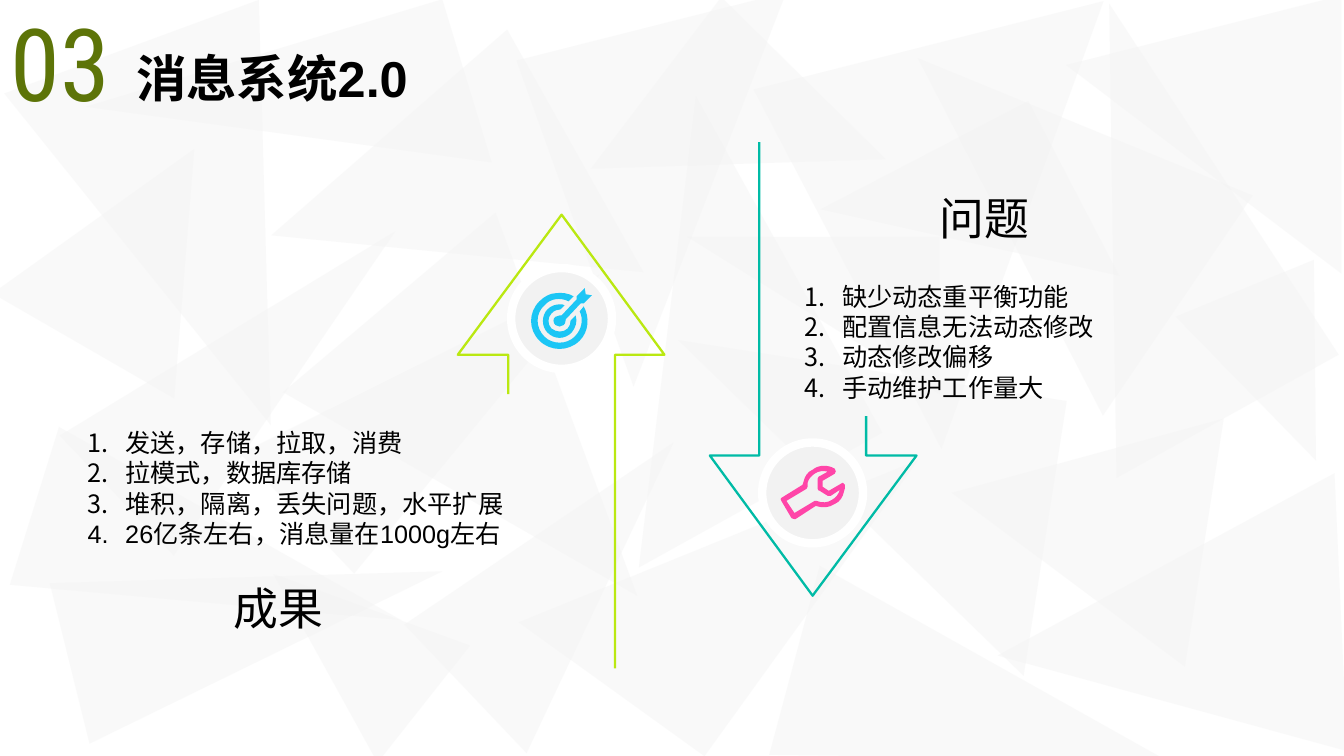
from dataclasses import dataclass
from lxml import etree
from pptx import Presentation
from pptx import util as u
from pptx.dml.color import RGBColor
from pptx.enum import shapes, text
from pptx.oxml.ns import qn


@dataclass(frozen=True)
class Theme:
    font: str = "Arial"
    digit: str = "Roboto Condensed"
    ink: str = "000000"
    olive: str = "5D7408"
    pale: str = "F2F2F2"
    white: str = "FFFFFF"
    teal: str = "00BBA6"
    lime: str = "BAE811"
    pink: str = "FF45A8"
    blue: str = "1CC6F5"
    huge: int = 72
    title: int = 36
    head: int = 32
    body: int = 18


def cm(inch):
    return u.Cm(inch * 2.54)


def trace(code):
    """Read M, L and C commands in hundredths of an inch.

    Gives the rings of points, and where each curve's three points start."""
    rings, bends, count = [], [], 0
    for part in code.replace("M", "|M").replace("L", "|L").replace("C", "|C").split("|")[1:]:
        nums = [int(n) / 100 for n in part[1:].split()]
        pts = list(zip(nums[::2], nums[1::2]))
        if part[0] == "M":
            rings.append([])
        elif part[0] == "C":
            bends += range(count, count + len(pts), 3)
        rings[-1] += pts
        count += len(pts)
    return rings, bends


class Deck:
    def __init__(self, look):
        self.look = look
        self.prs = Presentation()
        self.prs.slide_width, self.prs.slide_height = cm(13.33), cm(7.5)
        self.slide = self.prs.slides.add_slide(self.prs.slide_layouts[6])

    def group(self):
        return self.slide.shapes.add_group_shape()

    def paint(self, shape, fill=None, line=None, width=1):
        shape.shadow.inherit = False
        if fill:
            shape.fill.solid()
            shape.fill.fore_color.rgb = RGBColor.from_string(fill)
        else:
            shape.fill.background()
        if line:
            shape.line.color.rgb = RGBColor.from_string(line)
            shape.line.width = u.Pt(width)
        else:
            shape.line.fill.background()
        return shape

    def shard(self, group, x, y, w, h, turn, tip=0.5):
        tri = group.shapes.add_shape(
            shapes.MSO_SHAPE.ISOSCELES_TRIANGLE, cm(x), cm(y), cm(w), cm(h))
        tri.adjustments[0] = tip
        tri.rotation = turn
        self.paint(tri, self.look.pale)
        tone = tri._element.spPr.find(".//" + qn("a:srgbClr"))
        etree.SubElement(tone, qn("a:alpha"), val="42000")

    def backdrop(self, shards):
        group = self.group()
        for shard in shards:
            self.shard(group, *shard)
        # The backdrop belongs to the layout
        self.slide.slide_layout.shapes._spTree.append(group._element)

    def disc(self, group, x, y, size):
        dot = group.shapes.add_shape(
            shapes.MSO_SHAPE.OVAL, cm(x), cm(y), cm(size), cm(size))
        self.paint(dot, self.look.pale, self.look.white, 6)

    def outline(self, group, rings, bends=(), close=True, **style):
        rings = [[(cm(x), cm(y)) for x, y in ring] for ring in rings]
        pen = group.shapes.build_freeform(*rings[0][0])
        for i, ring in enumerate(rings):
            if i:
                pen.move_to(*ring[0])
            pen.add_line_segments(ring[1:], close=close)
        shape = self.paint(pen.convert_to_shape(), **style)
        # Join each run of three points into a curve
        route = shape._element.spPr.find(".//" + qn("a:path"))
        steps = [step for step in route if step.tag != qn("a:close")]
        for i in bends:
            bend = steps[i]
            bend.tag = qn("a:cubicBezTo")
            for step in steps[i + 1:i + 3]:
                bend.append(step[0])
                route.remove(step)

    def arrow(self, group, x, y, color, up=False):
        w, h = 2.05, 4.5
        pts = [(0.49, 0), (0.49, 3.11), (0, 3.11), (1.02, h),
               (w, 3.11), (1.55, 3.11), (1.55, 2.72)]
        if up:
            pts = [(w - px, h - py) for px, py in pts]
        self.outline(group, [[(x + px, y + py) for px, py in pts]],
                     close=False, line=color, width=1.63)

    def label(self, x, y, w, h, lines, size, color=None, font=None, bold=False,
              pad=True, mid=False, space=None, count=False):
        frame = self.slide.shapes.add_textbox(cm(x), cm(y), cm(w), cm(h)).text_frame
        frame.word_wrap = count
        if not pad:
            frame.margin_left = frame.margin_right = 0
            frame.margin_top = frame.margin_bottom = 0
        if mid:
            frame.vertical_anchor = text.MSO_ANCHOR.MIDDLE
        for i, line in enumerate(lines):
            para = frame.add_paragraph() if i else frame.paragraphs[0]
            para.text = line
            if mid:
                para.alignment = text.PP_ALIGN.CENTER
            if space:
                para.line_spacing = space
            if count:
                props = para._p.get_or_add_pPr()
                props.set("marL", str(u.Cm(0.95)))
                props.set("indent", str(-u.Cm(0.95)))
                etree.SubElement(props, qn("a:buFont"), typeface="+mj-lt")
                etree.SubElement(props, qn("a:buAutoNum"), type="arabicPeriod")
            para.font.name = font or self.look.font
            para.font.size = u.Pt(size)
            para.font.bold = bold
            para.font.color.rgb = RGBColor.from_string(color or self.look.ink)


# Background shards: left, top, width, height, turn, tip
SHARDS = [
    (1.34, 3.68, 1.64, 3.81, 107.3), (1.72, 4.22, 1.64, 3.81, 76.1),
    (0.65, 0.34, 2.69, 4, 159.8), (1.72, 1.7, 1.64, 3.81, 46.5),
    (4.89, 4.15, 1.76, 3.18, 46.5, 0.3), (3.71, 2.55, 2.76, 3.81, 139.8),
    (9.44, 3.91, 2.49, 2.55, 278.9, 0.54), (7.06, 3.09, 2.76, 3.9, 278.9, 1),
    (5.99, 3.56, 2.27, 3.62, 35.8, 1), (9.91, 0.24, 2.52, 4.15, 331, 0.88),
    (5.24, 1.39, 2.76, 3.81, 331, 1), (6.08, 0.47, 2.29, 2.12, 224.6, 0.88),
    (7.9, 0.39, 3.58, 3.91, 165.8, 0.74), (5.5, 0.21, 2.76, 3.42, 165.8, 0.88),
    (3, 0.72, 2.76, 3.04, 240.7, 0.77), (10.21, 4.44, 2.76, 3.42, 267.4, 0.4),
    (7.29, 1.88, 1.56, 2.5, 270, 1), (-0.35, 1.7, 2.48, 1.88, 274.6, 0.36),
    (2.02, -0.51, 1.69, 3.69, 253.2, 1), (10.56, -0.03, 2.76, 2.73, 270, 0.75),
    (3.51, 1.88, 1.64, 3.81, 46.5, 0.71), (8.75, 5.14, 1.94, 3.81, 105),
    (11.96, 2.79, 1.48, 1.85, 157.6), (2.69, 5.39, 1.48, 1.97, 308.3, 0.56),
    (8.91, 0.29, 2.64, 3.51, 304.2, 0.72), (8.46, 1.43, 2.32, 1.95, 152.5, 0),
]
WRENCH = """M837 488 C836 493 833 498 828 500 822 504 816 504 809 502 L789 515
C788 515 786 515 785 514 L775 497 C774 496 774 494 775 494 L796 481
C796 480 796 479 797 478 798 473 801 468 806 466 812 461 821 461 828 465
828 466 829 467 829 468 829 468 828 469 828 470 L816 477 816 483 822 487 834 480
C835 479 836 479 836 479 837 480 838 481 838 481 838 484 838 486 837 488
M788 509 L808 497 C809 497 809 497 810 497 815 499 821 499 825 496
829 494 832 490 833 486 L824 492 C823 492 822 492 821 492 L813 487
C812 487 811 486 811 485 L811 475 C811 475 811 474 812 473 L821 468
C817 467 812 467 808 470 805 472 802 475 801 479 801 480 801 482 801 483
801 484 801 484 800 485 L780 497"""
TARGET = """M556 302 C557 302 559 302 560 303 L556 307
C553 307 550 308 547 311 543 315 543 322 547 326 552 330 559 330 563 326
565 324 566 321 566 318 L571 313 C573 319 571 325 567 330 560 337 550 337 543 330
537 324 537 313 543 307 547 303 551 302 556 302
M551 291 C557 290 564 291 569 294 L564 299 C556 295 546 296 540 303
531 311 531 325 540 334 548 342 562 342 570 334 577 327 579 317 575 309
L579 304 C585 315 584 329 575 338 564 349 546 349 535 338 524 327 524 310 535 299
540 294 546 291 551 291
M580 286 L581 292 587 293 579 301 576 301 561 317
C561 317 561 318 561 318 561 322 558 324 555 324 552 324 549 322 549 318
549 315 552 313 555 313 556 313 556 313 557 313 L572 297 572 294"""
ISSUES = ["缺少动态重平衡功能", "配置信息无法动态修改", "动态修改偏移", "手动维护工作量大"]
GAINS = ["发送，存储，拉取，消费", "拉模式，数据库存储",
         "堆积，隔离，丢失问题，水平扩展", "26亿条左右，消息量在1000g左右"]


def main():
    look = Theme()
    deck = Deck(look)
    deck.backdrop(SHARDS)

    # Title
    deck.label(0, 0.01, 1.2, 1.2, ["03"], look.huge, look.olive, look.digit,
               pad=False, mid=True)
    deck.label(1.35, 0.41, 4.37, 0.8, ["消息系统2.0"], look.title, bold=True,
               pad=False, space=1.1)

    # List of issues
    deck.label(7.88, 2.74, 3.78, 1.79, ISSUES, look.body, count=True)

    # Down arrow with wrench
    down = deck.group()
    deck.arrow(down, 7.04, 1.41, look.teal)
    deck.disc(down, 7.56, 4.39, 1)
    deck.outline(down, *trace(WRENCH), fill=look.pink)

    # Up arrow with target
    rise = deck.group()
    deck.arrow(rise, 4.54, 2.13, look.lime, up=True)
    deck.disc(rise, 5.07, 2.66, 1)
    deck.outline(rise, *trace(TARGET), fill=look.blue)

    # Headings and list of gains
    deck.label(2.22, 5.71, 1.1, 0.64, ["成果"], look.head)
    deck.label(9.22, 1.84, 1.1, 0.64, ["问题"], look.head)
    deck.label(0.77, 4.19, 5.1, 1.31, GAINS, look.body, count=True)
    deck.prs.save("out.pptx")


if __name__ == "__main__":
    main()
